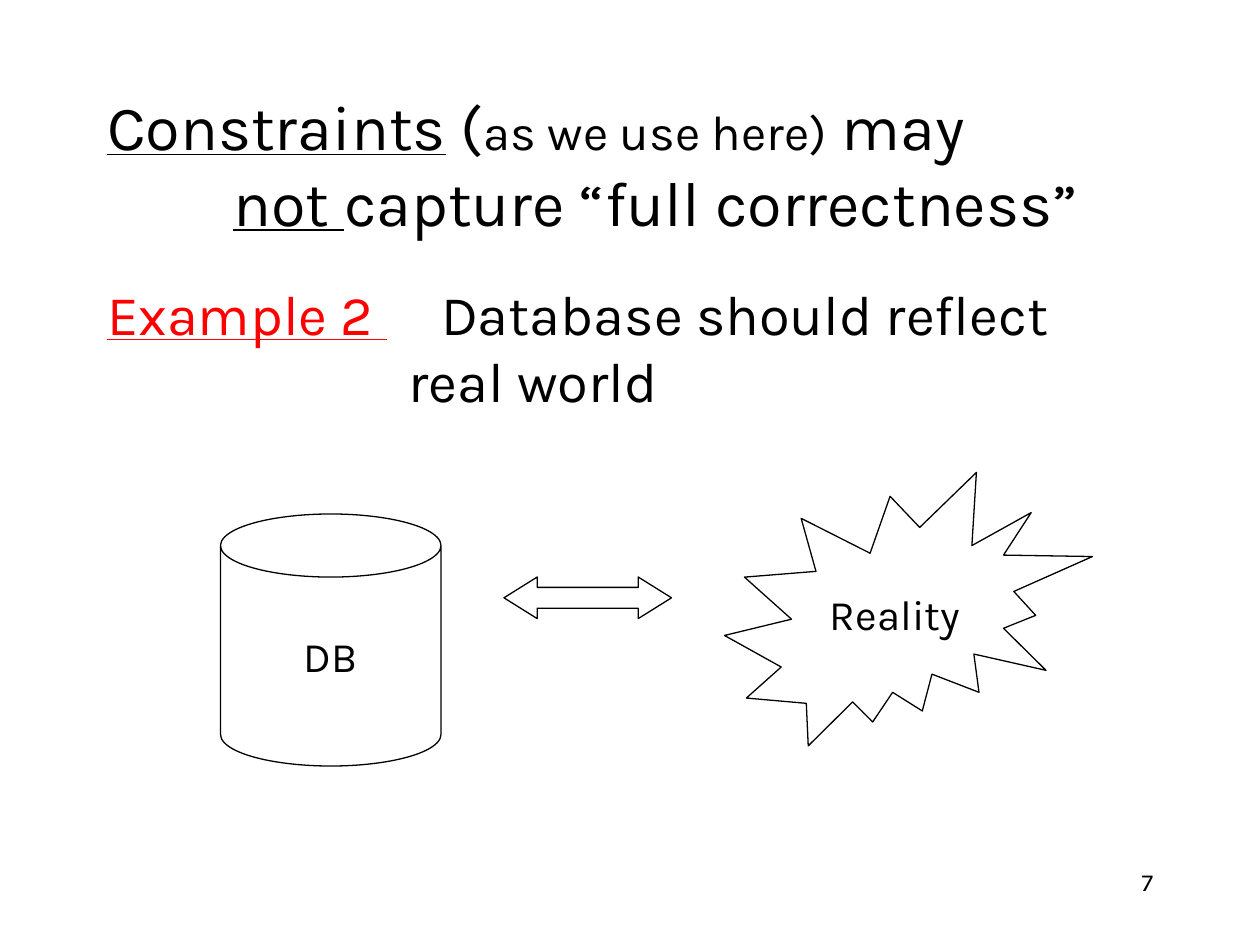
from lxml import etree
from pptx import Presentation
from pptx.dml.color import RGBColor
from pptx.enum.shapes import MSO_SHAPE
from pptx.enum.text import MSO_ANCHOR, MSO_AUTO_SIZE, PP_ALIGN
from pptx.oxml.ns import qn
from pptx.util import Inches, Pt

FONT = "Karla"
COLORS = {"ink": "000000", "accent": "FF0000", "paper": "FFFFFF"}
CAN = MSO_SHAPE.CAN
BURST = MSO_SHAPE.EXPLOSION2
DOUBLE_ARROW = MSO_SHAPE.LEFT_RIGHT_ARROW
LEFT, CENTER, RIGHT = PP_ALIGN.LEFT, PP_ALIGN.CENTER, PP_ALIGN.RIGHT
TOP, MIDDLE = MSO_ANCHOR.TOP, MSO_ANCHOR.MIDDLE
NO_AUTOFIT = MSO_AUTO_SIZE.NONE


def rgb(name):
    return RGBColor.from_string(COLORS[name])


def format_run(run, size, color="ink", underline=False):
    run.font.name = FONT
    run.font.size = Pt(size)
    run.font.color.rgb = rgb(color)
    run.font.underline = underline


def add_runs(paragraph, parts):
    for text, size, color, underline in parts:
        run = paragraph.add_run()
        run.text = text
        format_run(run, size, color, underline)


def add_break(paragraph, size):
    paragraph.add_line_break()
    line_break = paragraph._p.findall(qn("a:br"))[-1]
    etree.SubElement(line_break, qn("a:rPr"), sz=str(size * 100))


def place(placeholder, box, anchor):
    placeholder.left, placeholder.top, placeholder.width, placeholder.height = map(Inches, box)
    frame = placeholder.text_frame
    frame.auto_size = NO_AUTOFIT
    frame.vertical_anchor = anchor
    return frame


def set_indent(paragraph, margin, first_line, space_before=0):
    paragraph.alignment = LEFT
    paragraph.space_before = Pt(space_before)
    properties = paragraph._p.get_or_add_pPr()
    properties.set("marL", str(Inches(margin)))
    properties.set("indent", str(Inches(first_line)))
    etree.SubElement(properties, qn("a:buNone"))


def fill_title(title):
    heading = place(title, (0.75, 0.67, 8.5, 1.25), MIDDLE).paragraphs[0]
    set_indent(heading, 1, -1)
    add_runs(heading, [
        ("Constraints", 36, "ink", True),
        (" (", 36, "ink", False),
        ("as we use here)", 28, "ink", False),
        (" may ", 36, "ink", False),
    ])
    add_break(heading, 36)
    add_runs(heading, [
        ("not ", 36, "ink", True),
        ("capture “full correctness”", 36, "ink", False),
    ])


def fill_body(body):
    frame = place(body, (0.75, 2.17, 8.5, 4.5), TOP)
    example = frame.paragraphs[0]
    set_indent(example, 0.15, -0.15, 6.4)
    add_runs(example, [
        ("Example 2 ", 32, "accent", True),
        ("\tDatabase should reflect", 32, "ink", False),
    ])
    continuation = frame.add_paragraph()
    set_indent(continuation, 2.39, 0)
    add_runs(continuation, [("real world", 32, "ink", False)])


def add_outline_shape(slide, kind, box, label="", adjustments=()):
    shape = slide.shapes.add_shape(kind, *map(Inches, box))
    shape.shadow.inherit = False
    shape.fill.solid()
    shape.fill.fore_color.rgb = rgb("paper")
    shape.line.color.rgb = rgb("ink")
    shape.line.width = Pt(0.75)
    for index, value in enumerate(adjustments):
        shape.adjustments[index] = value
    if label:
        frame = shape.text_frame
        frame.word_wrap = False
        frame.vertical_anchor = MIDDLE
        frame.text = label
        frame.paragraphs[0].alignment = CENTER
        format_run(frame.paragraphs[0].runs[0], 24)


def add_page_number(slide, number):
    frame = slide.shapes.add_textbox(*map(Inches, (7.17, 6.83, 2.08, 0.5))).text_frame
    frame.word_wrap = True
    frame.text = number
    frame.paragraphs[0].alignment = RIGHT
    format_run(frame.paragraphs[0].runs[0], 14)


def main():
    deck = Presentation()
    deck.slide_width, deck.slide_height = Inches(10), Inches(7.5)
    slide = deck.slides.add_slide(deck.slide_layouts[1])
    fill_title(slide.shapes.title)
    fill_body(slide.placeholders[1])
    add_outline_shape(slide, CAN, (1.75, 4.08, 1.75, 2), "DB", [0.286])
    add_outline_shape(slide, BURST, (5.75, 3.75, 2.92, 2.17), "Reality")
    add_outline_shape(slide, DOUBLE_ARROW, (4, 4.58, 1.33, 0.33), adjustments=[0.5, 0.8])
    add_page_number(slide, "7")
    deck.save("out.pptx")


main()
